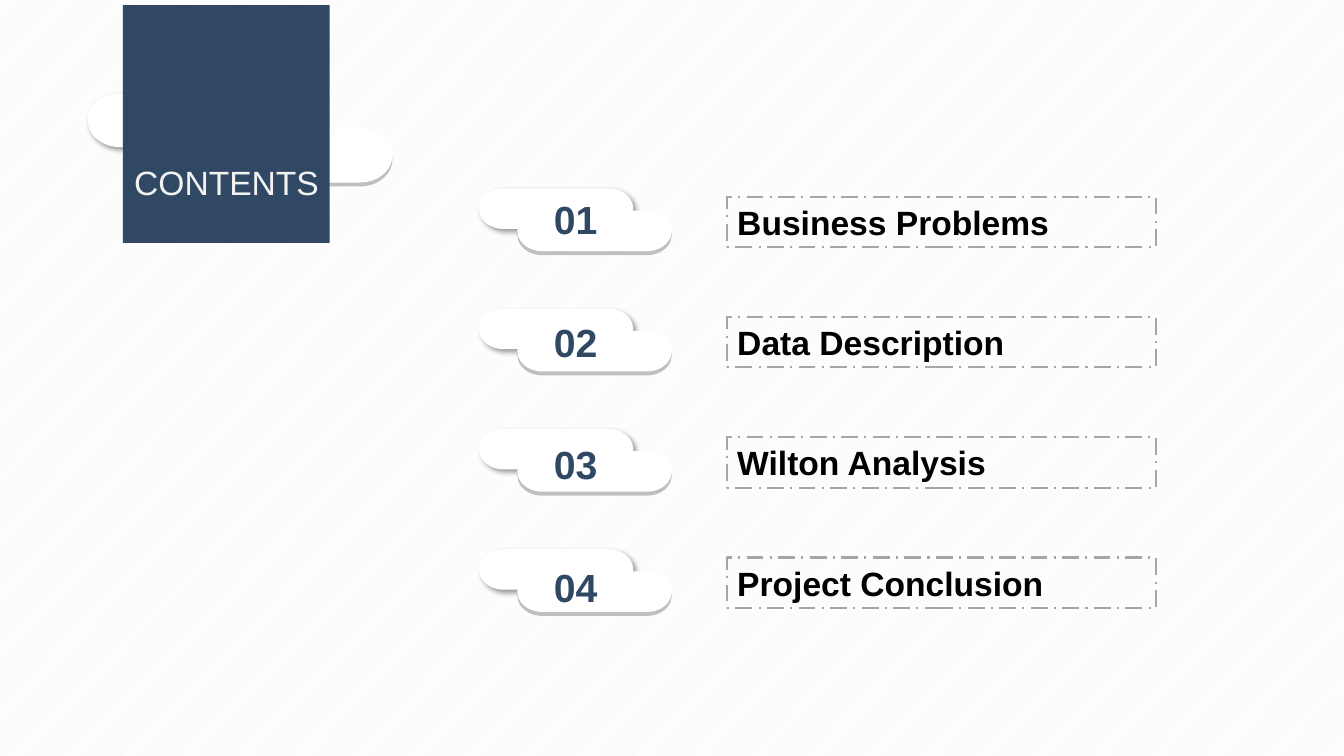
"""Build a contents slide with four numbered sections."""
from lxml import etree
from pptx import Presentation
from pptx import util as u
from pptx.dml.color import RGBColor
from pptx.enum import dml, shapes, text
from pptx.oxml.ns import qn

COLORS = {"navy": "314865", "white": "FFFFFF", "pale": "F2F2F2",
          "shade": "BFBFBF", "outline": "A6A6A6", "black": "000000"}
SECTIONS = ["Business Problems", "Data Description",
            "Wilton Analysis", "Project Conclusion"]


def rgb(name):
    """Return a palette colour."""
    return RGBColor.from_string(COLORS[name])


def write(tf, words, size=24, color="black", bold=False, font="Arial",
          align=text.PP_ALIGN.LEFT, anchor=text.MSO_ANCHOR.TOP, inset=None):
    """Put one formatted paragraph in a text frame."""
    tf.word_wrap = True
    tf.auto_size = text.MSO_AUTO_SIZE.NONE
    tf.vertical_anchor = anchor
    if inset is not None:
        tf.margin_left = tf.margin_right = tf.margin_top = tf.margin_bottom = u.Cm(inset)
    p = tf.paragraphs[0]
    p.alignment = align
    r = p.add_run()
    r.text = words
    r.font.name, r.font.size, r.font.bold = font, u.Pt(size), bold
    r.font.color.rgb = rgb(color)


class ContentsSlide:
    """Hold the slide and draw its elements."""

    def __init__(self, prs):
        """Add a title-only slide with a striped background."""
        self.slide = prs.slides.add_slide(prs.slide_layouts[5])
        self.shapes = self.slide.shapes
        fill = self.slide.background.fill
        fill.patterned()
        fill.pattern = dml.MSO_PATTERN.LIGHT_UPWARD_DIAGONAL
        fill.fore_color.rgb, fill.back_color.rgb = rgb("pale"), rgb("white")

    def block(self, parent, kind, box, color=None):
        """Add a preset shape without outline or shadow."""
        sp = parent.add_shape(kind, *map(u.Cm, box))
        sp.shadow.inherit = False
        sp.line.fill.background()
        if color:
            sp.fill.solid()
            sp.fill.fore_color.rgb = rgb(color)
        else:
            sp.fill.background()
        return sp

    def cast_shadow(self, sp):
        """Give a shape a soft shadow to the lower right."""
        effects = sp._element.spPr.find(qn("a:effectLst"))
        shadow = etree.SubElement(
            effects, qn("a:outerShdw"), blurRad=str(u.Pt(4)), dist=str(u.Pt(3)),
            dir="2700000", algn="tl", rotWithShape="0")
        tone = etree.SubElement(shadow, qn("a:srgbClr"), val=COLORS["black"])
        etree.SubElement(tone, qn("a:alpha"), val="40000")

    def cloud(self, x, y, w, h, dx, dy):
        """Group two overlapping pills, the front one with a grey edge."""
        group = self.shapes.add_group_shape()
        pill = shapes.MSO_SHAPE.FLOWCHART_TERMINATOR
        self.block(group.shapes, pill, (x + dx, y + dy + 0.1, w, h), "shade")
        self.cast_shadow(self.block(group.shapes, pill, (x, y, w, h), "white"))
        self.block(group.shapes, pill, (x + dx, y + dy, w, h), "white")
        return group

    def panel(self, box):
        """Add the navy panel behind the title."""
        self.block(self.shapes, shapes.MSO_SHAPE.RECTANGLE, box, "navy")

    def title(self, words, box):
        """Move the title placeholder to the front and fill it."""
        sp = self.shapes.title
        sp.left, sp.top, sp.width, sp.height = map(u.Cm, box)
        write(sp.text_frame, words, color="pale",
              anchor=text.MSO_ANCHOR.MIDDLE, inset=0)
        self.shapes._spTree.append(sp._element)

    def label(self, words, box):
        """Add a dash-dot outlined section name."""
        sp = self.block(self.shapes, shapes.MSO_SHAPE.RECTANGLE, box)
        sp.line.color.rgb, sp.line.width = rgb("outline"), u.Pt(1.5)
        sp.line.dash_style = dml.MSO_LINE.LONG_DASH_DOT
        write(sp.text_frame, words, bold=True)

    def number(self, group, words, box):
        """Add a section number to its cloud."""
        sp = group.shapes.add_textbox(*map(u.Cm, box))
        write(sp.text_frame, words, size=28, color="navy", bold=True,
              align=text.PP_ALIGN.CENTER)


def main():
    """Build and save the slide."""
    prs = Presentation()
    prs.slide_width, prs.slide_height = u.Cm(33.87), u.Cm(19.05)
    s = ContentsSlide(prs)
    s.cloud(2.21, 2.36, 5.11, 1.35, 2.57, 0.89)
    s.panel((3.1, 0.13, 5.21, 5.99))
    s.title("CONTENTS", (3.38, 4.07, 5.11, 1.02))
    for i, name in enumerate(SECTIONS):
        drop = 3.03 * i
        s.label(name, (18.33, 4.96 + drop, 10.8, 1.27))
        group = s.cloud(12.07, 4.75 + drop, 3.89, 1.02, 0.97, 0.56)
        s.number(group, f"{i + 1:02}", (13.54, 4.8 + 3.09 * i, 1.93, 1.45))
    prs.save("out.pptx")


if __name__ == "__main__":
    main()
